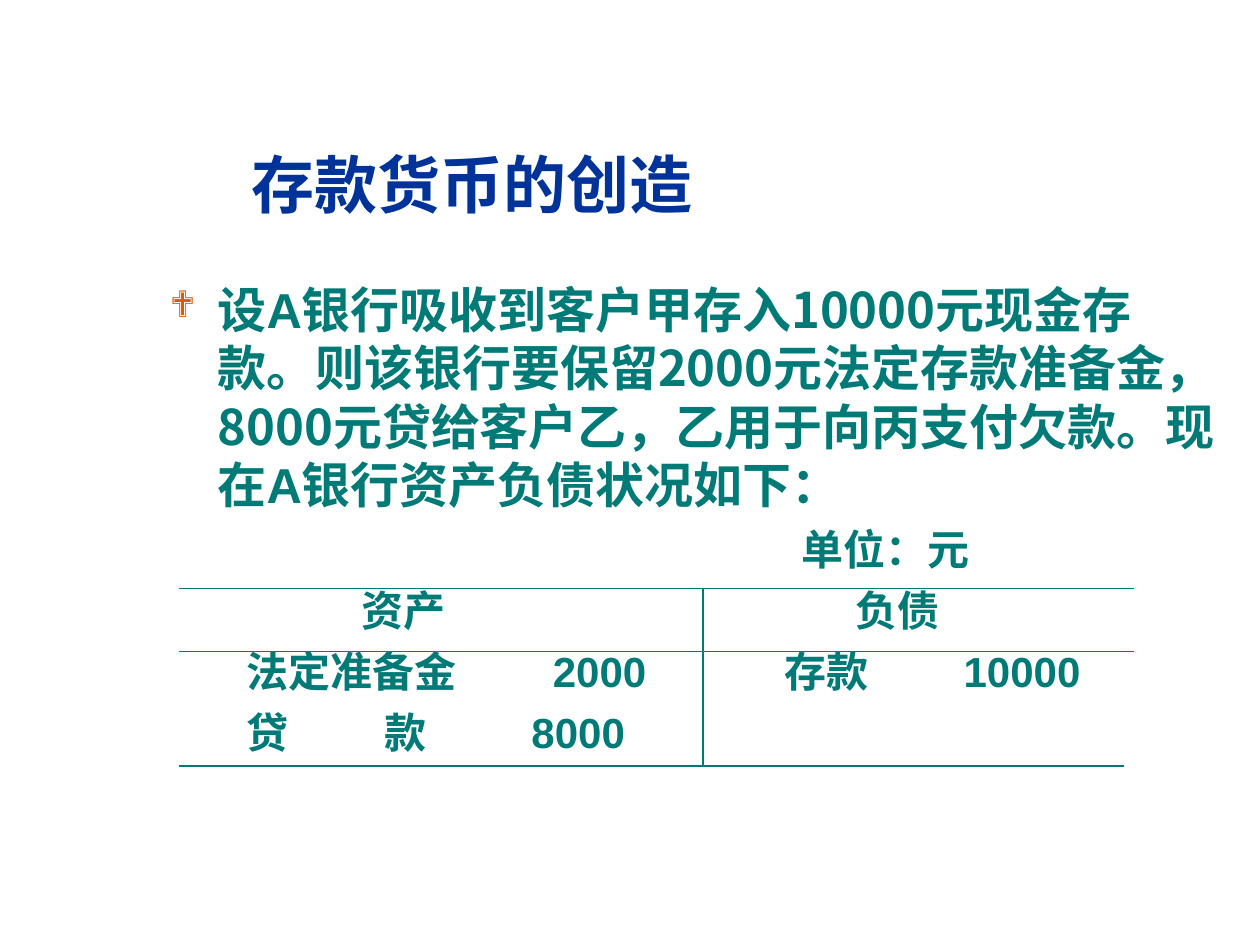
from dataclasses import dataclass

from lxml import etree
from pptx import Presentation
from pptx import util as u
from pptx.dml.color import RGBColor
from pptx.enum import shapes, text
from pptx.oxml import ns


@dataclass(frozen=True)
class Theme:
    blue: str = "003399"
    teal: str = "007A77"
    mark: str = "DC5900"
    latin: str = "Arial"
    han: str = "Noto Sans CJK SC"
    sign: str = "Wingdings"
    head: float = 36
    body: float = 28
    row: float = 24
    rule: float = 0.75


@dataclass(frozen=True)
class Row:
    cells: tuple[str, ...]
    stops: tuple[float, ...]


@dataclass(frozen=True)
class Rule:
    x1: float
    y1: float
    x2: float
    y2: float


THEME = Theme()
TITLE = "存款货币的创造"
STORY = (
    ("设A银行吸收到客户甲存入", THEME.latin),
    ("10000", THEME.han),
    ("元现金存款。则该银行要保留", THEME.latin),
    ("2000", THEME.han),
    ("元法定存款准备金，", THEME.latin),
    ("8000", THEME.han),
    ("元贷给客户乙，乙用于向丙支付欠款。现在A银行资产负债状况如下：", THEME.latin),
)
ROWS = (
    Row(("单位：元",), (5.01,)),
    Row(("资产", "负债"), (1.52, 5.44)),
    Row(("法定准备金", "2000", "存款", "10000"), (0.61, 3.04, 4.88, 6.3)),
    Row(("贷", "款", "8000"), (0.61, 1.7, 2.87)),
)
LEFT, SPLIT, RIGHT = 1.42, 5.58, 9.0
TOP, MID, BASE = 4.67, 5.17, 6.08
RULES = (
    Rule(LEFT, TOP, RIGHT, TOP),
    Rule(LEFT, MID, RIGHT, MID),
    Rule(LEFT, BASE, 8.92, BASE),
    Rule(SPLIT, TOP, SPLIT, BASE),
)


def add(node, tag: str, **attrs: str):
    return etree.SubElement(node, ns.qn(tag), attrs)


def write(para, words: str, *, size: float, color: str = THEME.teal,
          face: str = THEME.latin) -> None:
    run = para.add_run()
    run.text = words
    font = run.font
    font.name, font.size, font.bold = face, u.Pt(size), True
    font.color.rgb = RGBColor.from_string(color)
    add(font._element, "a:ea", typeface=THEME.han)


def frame(slide, x: float, y: float, w: float, h: float, anchor):
    box = slide.shapes.add_textbox(u.Inches(x), u.Inches(y), u.Inches(w), u.Inches(h))
    body = box.text_frame
    body.word_wrap = True
    body.vertical_anchor = anchor
    return body


def bullet(para) -> None:
    props = para._p.get_or_add_pPr()
    hang = u.Inches(0.38)
    props.set("marL", str(hang))
    props.set("indent", str(-hang))
    props.set("hangingPunct", "0")
    add(add(props, "a:buClr"), "a:srgbClr", val=THEME.mark)
    add(props, "a:buSzPct", val="75000")
    add(props, "a:buFont", typeface=THEME.sign, charset="2")
    add(props, "a:buChar", char="❖")


def draw_row(body, row: Row) -> None:
    para = body.add_paragraph()
    stops = add(para._p.get_or_add_pPr(), "a:tabLst")
    for stop in row.stops:
        add(stops, "a:tab", pos=str(u.Inches(stop)), algn="l")
    para.space_before = u.Pt(6)
    para.line_spacing = u.Pt(28.8)
    write(para, "".join(f"\t{cell}" for cell in row.cells), size=THEME.row)


def draw_rule(slide, rule: Rule) -> None:
    ends = (u.Inches(n) for n in (rule.x1, rule.y1, rule.x2, rule.y2))
    line = slide.shapes.add_connector(shapes.MSO_CONNECTOR.STRAIGHT, *ends)
    line.line.color.rgb = RGBColor.from_string(THEME.teal)
    line.line.width = u.Pt(THEME.rule)
    add(line._element.spPr, "a:effectLst")


def main() -> None:
    deck = Presentation()
    deck.slide_width, deck.slide_height = u.Inches(10), u.Inches(7.5)
    slide = deck.slides.add_slide(deck.slide_layouts[6])

    head = frame(slide, 0.33, 0.99, 6.84, 0.93, text.MSO_ANCHOR.MIDDLE).paragraphs[0]
    head.alignment = text.PP_ALIGN.CENTER
    write(head, TITLE, size=THEME.head, color=THEME.blue)

    body = frame(slide, 1.25, 2.17, 8.5, 4.5, text.MSO_ANCHOR.TOP)
    lead = body.paragraphs[0]
    bullet(lead)
    lead.line_spacing = u.Pt(33.4)
    for words, face in STORY:
        write(lead, words, size=THEME.body, face=face)
    for row in ROWS:
        draw_row(body, row)
    for rule in RULES:
        draw_rule(slide, rule)

    deck.save("out.pptx")


if __name__ == "__main__":
    main()
